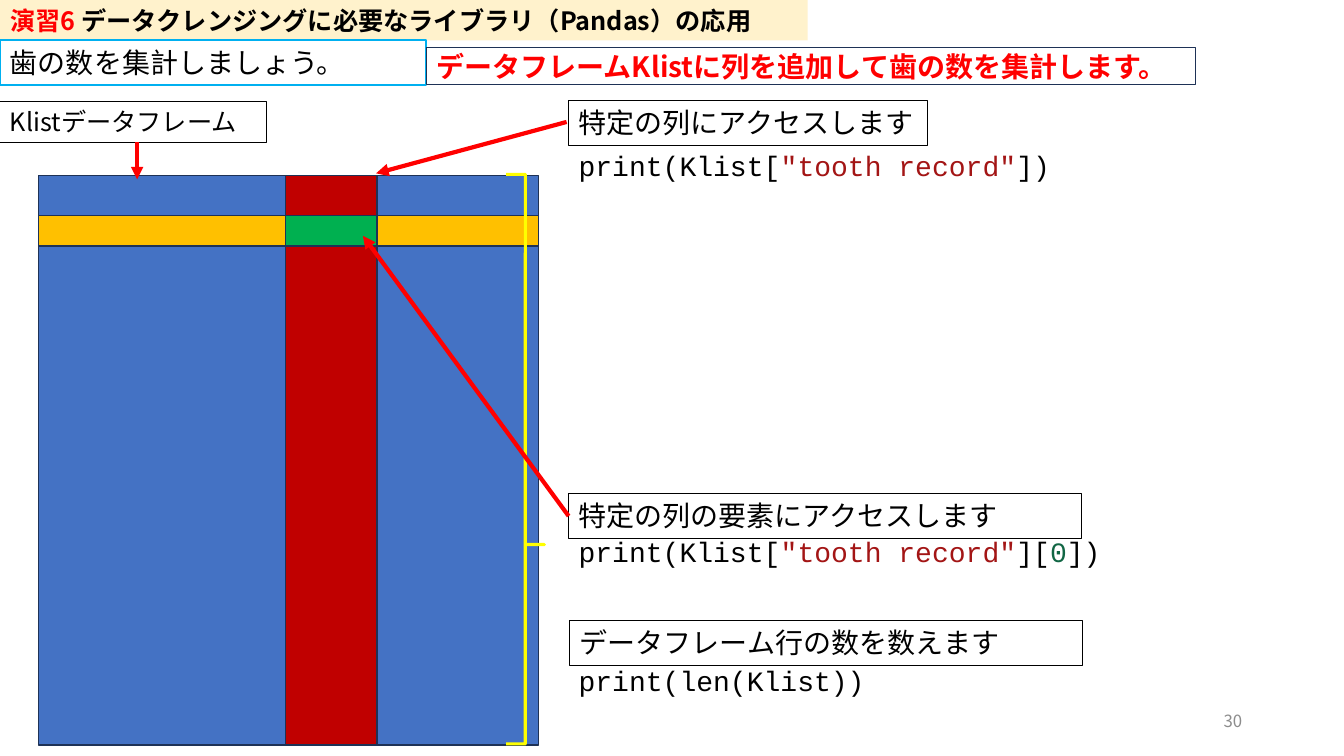
from lxml import etree
from pptx import Presentation
from pptx import util as u
from pptx.dml.color import RGBColor
from pptx.enum import shapes, text
from pptx.oxml import ns

PX = 9144  # 100 px to the inch
JAPANESE = "Noto Sans CJK JP"
CODE = "Courier New"

BLACK = RGBColor(0x00, 0x00, 0x00)
WHITE = RGBColor(0xFF, 0xFF, 0xFF)
GRAY = RGBColor(0x8C, 0x8C, 0x8C)
RED = RGBColor(0xFF, 0x00, 0x00)
CREAM = RGBColor(0xFF, 0xF2, 0xCC)
SKY = RGBColor(0x00, 0xB0, 0xF0)
NAVY = RGBColor(0x1E, 0x32, 0x56)
BLUE = RGBColor(0x44, 0x72, 0xC4)
CRIMSON = RGBColor(0xC0, 0x00, 0x00)
AMBER = RGBColor(0xFF, 0xC0, 0x00)
GREEN = RGBColor(0x00, 0xB0, 0x50)
YELLOW = RGBColor(0xFF, 0xFF, 0x00)
STRING_RED = RGBColor(0xA3, 0x15, 0x15)
NUMBER_GREEN = RGBColor(0x11, 0x66, 0x44)


def px(*lengths):
    return [u.Emu(length * PX) for length in lengths]


def write(shape, parts, size, font=JAPANESE, bold=False,
          anchor=text.MSO_ANCHOR.TOP, align=text.PP_ALIGN.LEFT):
    """Put (wording, colour) parts on one line of the shape."""
    frame = shape.text_frame
    frame.word_wrap = True
    frame.auto_size = text.MSO_AUTO_SIZE.NONE
    frame.vertical_anchor = anchor
    line = frame.paragraphs[0]
    line.alignment = align
    for wording, color in parts:
        run = line.add_run()
        run.text = wording
        run.font.size = u.Pt(size)
        run.font.bold = bold
        run.font.color.rgb = color
        run.font.name = font
        east_asian = etree.SubElement(run.font._element, ns.qn("a:ea"))
        east_asian.set("typeface", font)


def add_box(slide, box, fill=None, line=NAVY, width=1,
            kind=shapes.MSO_SHAPE.RECTANGLE):
    shape = slide.shapes.add_shape(kind, *px(*box))
    shape.shadow.inherit = False
    if fill is None:
        shape.fill.background()
    else:
        shape.fill.solid()
        shape.fill.fore_color.rgb = fill
    shape.line.color.rgb = line
    shape.line.width = u.Pt(width)
    return shape


def add_text(slide, box, parts, size, **style):
    write(slide.shapes.add_textbox(*px(*box)), parts, size, **style)


def add_arrow(slide, start, end):
    arrow = slide.shapes.add_connector(
        shapes.MSO_CONNECTOR.STRAIGHT, *px(*start, *end))
    arrow.line.color.rgb = RED
    arrow.line.width = u.Pt(3)
    head = etree.SubElement(arrow.line._get_or_add_ln(), ns.qn("a:tailEnd"))
    head.set("type", "triangle")
    etree.SubElement(arrow._element.spPr, ns.qn("a:effectLst"))


def add_headings(slide, left, top):
    title = slide.shapes.title
    title.left, title.top, title.width, title.height = px(left, top, 801, 40)
    title.fill.solid()
    title.fill.fore_color.rgb = CREAM
    write(title, [("演習6 ", RED),
                  ("データクレンジングに必要なライブラリ（Pandas）の応用", BLACK)],
          18, bold=True)
    task = add_box(slide, (left, top + 40, 423, 44), line=SKY, width=1.5)
    write(task, [("歯の数を集計しましょう。", BLACK)], 20)
    goal = add_box(slide, (left + 423, top + 47, 763, 37), fill=WHITE)
    write(goal, [("データフレームKlistに列を追加して歯の数を集計します。", RED)],
          20, bold=True, anchor=text.MSO_ANCHOR.MIDDLE)


def add_data_frame(slide, left, top, width, height):
    """Draw the table with one column, one row and their cell marked."""
    column_left, column_width = left + 245, 91
    row_top, row_height = top + 40, 30
    add_box(slide, (left, top, width, height), BLUE)
    add_box(slide, (column_left, top, column_width, height), CRIMSON)
    add_box(slide, (left, row_top, width, row_height), AMBER)
    add_box(slide, (column_left, row_top, column_width, row_height), GREEN)
    brace = add_box(slide, (left + 464, top - 1, 38, height), line=YELLOW,
                    width=2.25, kind=shapes.MSO_SHAPE.RIGHT_BRACE)
    brace.adjustments[0] = 0
    brace.adjustments[1] = 0.65


def add_label(slide, box, wording, size=20):
    label = add_box(slide, box, line=BLACK, width=0.75)
    write(label, [(wording, BLACK)], size)


def add_code_note(slide, left, top, width, wording, code_top, code):
    """Place a framed explanation with its line of code below."""
    add_label(slide, (left, top, width, 44), wording)
    add_text(slide, (564, code_top, 559, 44), code, 20, font=CODE)


def main():
    prs = Presentation()
    prs.slide_width, prs.slide_height = px(1333, 750)
    slide = prs.slides.add_slide(prs.slide_layouts[5])

    add_headings(slide, 0, 0)
    add_data_frame(slide, 38, 174, 496, 565)
    add_label(slide, (0, 101, 264, 40), "Klistデータフレーム", 18)

    column_code = [("print(Klist[", BLACK), ('"tooth record"', STRING_RED)]
    notes = [
        (564, 100, 356, "特定の列にアクセスします", 142,
         column_code + [("])", BLACK)]),
        (564, 490, 509, "特定の列の要素にアクセスします", 525,
         column_code + [("][", BLACK), ("0", NUMBER_GREEN), ("])", BLACK)]),
        (565, 616, 509, "データフレーム行の数を数えます", 653,
         [("print(len(Klist))", BLACK)]),
    ]
    for note in notes:
        add_code_note(slide, *note)

    for start, end in [((136, 141), (136, 178)),
                       ((562, 121), (373, 172)),
                       ((564, 512), (360, 234))]:
        add_arrow(slide, start, end)

    add_text(slide, (942, 695, 300, 40), [("30", GRAY)], 12,
             anchor=text.MSO_ANCHOR.MIDDLE, align=text.PP_ALIGN.RIGHT)
    prs.save("out.pptx")


if __name__ == "__main__":
    main()
